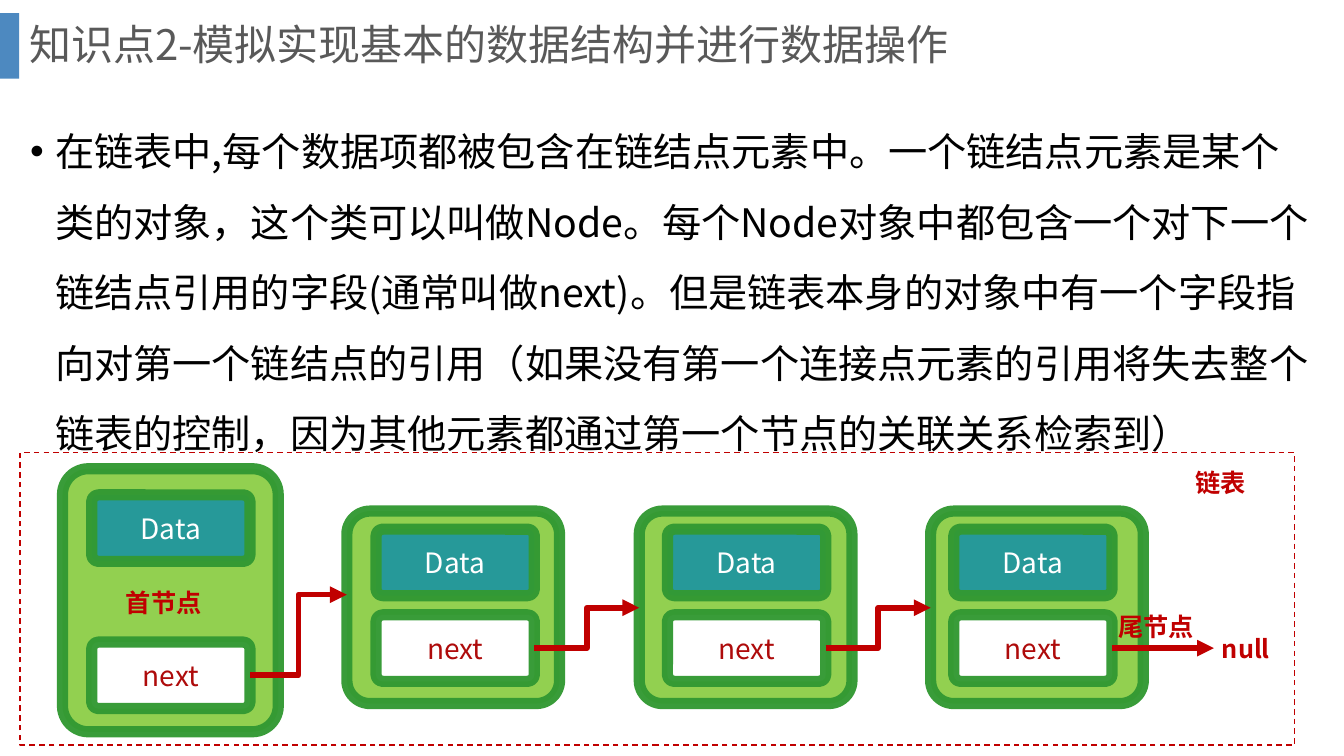
from pptx import Presentation
from pptx import util as u
from pptx.dml.color import RGBColor
from pptx.enum import dml, shapes, text
from pptx.oxml.ns import qn
from lxml import etree

FONT = "Noto Sans CJK SC"
GREEN, LIME, TEAL = "339933", "92D050", "269999"
RED, DARK_RED, WHITE = "C00000", "AE0B0B", "FFFFFF"
TITLE = "知识点2-模拟实现基本的数据结构并进行数据操作"
BODY = (
    "在链表中,每个数据项都被包含在链结点元素中。"
    "一个链结点元素是某个类的对象，这个类可以叫做Node。"
    "每个Node对象中都包含一个对下一个链结点引用的字段(通常叫做next)。"
    "但是链表本身的对象中有一个字段指向对第一个链结点的引用"
    "（如果没有第一个连接点元素的引用将失去整个链表的控制，"
    "因为其他元素都通过第一个节点的关联关系检索到）"
)


def rgb(color):
    return RGBColor.from_string(color)


def child(parent, tag, **attrs):
    return etree.SubElement(parent, qn(tag), **attrs)


def set_alpha(fill, percent):
    color = fill._xPr.find(qn("a:solidFill"))[0]
    child(color, "a:alpha", val=str(percent * 1000))


class SlideBuilder:
    def __init__(self, s, font):
        self.s = s
        self.font = font

    def put_text(self, sp, content, size, color, bold=False):
        sp.text_frame.text = content
        p = sp.text_frame.paragraphs[0]
        for r in p.runs:
            r.font.size = u.Pt(size)
            r.font.name = self.font
            r.font.bold = bold
            r.font.color.rgb = rgb(color)
            child(r.font._element, "a:ea", typeface=self.font)
        return p

    def text_box(self, box, content, size, color, bold=False, anchor=text.MSO_ANCHOR.TOP):
        sp = self.s.shapes.add_textbox(*map(u.Inches, box))
        sp.text_frame.word_wrap = True
        sp.text_frame.vertical_anchor = anchor
        return self.put_text(sp, content, size, color, bold)

    def label(self, left, top, content):
        self.text_box((left, top, 1.08, 0.4), content, 18, RED, True)

    def bullet_text(self, box, content, size, color):
        p = self.text_box(box, content, size, color)
        p.line_spacing = 1.5
        p.space_before = u.Pt(10)
        pPr = p._p.get_or_add_pPr()
        pPr.set("marL", str(u.Inches(0.25)))
        pPr.set("indent", str(u.Inches(-0.25)))
        child(pPr, "a:buFont", typeface="Arial")
        child(pPr, "a:buChar", char="•")

    def shape(self, kind, box, fill=None, line=None, width=1):
        sp = self.s.shapes.add_shape(kind, *map(u.Inches, box))
        sp.shadow.inherit = False
        if fill:
            sp.fill.solid()
            sp.fill.fore_color.rgb = rgb(fill)
        else:
            sp.fill.background()
        if line:
            sp.line.color.rgb = rgb(line)
            sp.line.width = u.Pt(width)
        else:
            sp.line.fill.background()
        return sp

    def rounded(self, box, fill, radius):
        sp = self.shape(shapes.MSO_SHAPE.ROUNDED_RECTANGLE, box, fill, GREEN, 8)
        sp.adjustments[0] = radius
        set_alpha(sp.line.fill, 96)
        return sp

    def field(self, left, top, content, fill, color):
        sp = self.rounded((left, top, 1.57, 0.66), fill, 0.1)
        sp.text_frame.vertical_anchor = text.MSO_ANCHOR.MIDDLE
        p = self.put_text(sp, content, 20, color)
        p.alignment = text.PP_ALIGN.CENTER

    def node(self, box, field_left, data_top, next_top):
        self.rounded(box, LIME, 0.12)
        self.field(field_left, data_top, "Data", TEAL, WHITE)
        self.field(field_left, next_top, "next", WHITE, DARK_RED)

    def arrow(self, kind, start, end):
        c = self.s.shapes.add_connector(kind, *map(u.Inches, start + end))
        c.line.color.rgb = rgb(RED)
        c.line.width = u.Pt(4)
        child(c.line._ln, "a:tailEnd", type="triangle")
        child(c._element.spPr, "a:effectLst")


def main():
    prs = Presentation()
    prs.slide_width = u.Inches(13.33)
    prs.slide_height = u.Inches(7.5)
    b = SlideBuilder(prs.slides.add_slide(prs.slide_layouts[6]), FONT)
    rect = shapes.MSO_SHAPE.RECTANGLE
    elbow = shapes.MSO_CONNECTOR.ELBOW

    accent = b.shape(rect, (0, 0.13, 0.19, 0.65), "2E75B6")
    set_alpha(accent.fill, 85)
    title = b.text_box((0.19, 0, 12.66, 0.93), TITLE, 30, "595959",
                       anchor=text.MSO_ANCHOR.MIDDLE)
    title.line_spacing = 0.9
    b.bullet_text((0.2, 0.98, 12.9, 5.96), BODY, 28, "000000")

    frame = b.shape(rect, (0.2, 4.49, 12.64, 2.9), line=RED)
    frame.line.dash_style = dml.MSO_LINE.DASH

    b.node((0.62, 4.65, 2.14, 2.61), 0.91, 4.91, 6.37)
    for left, field_left in ((3.44, 3.73), (6.34, 6.62), (9.23, 9.46)):
        b.node((left, 5.07, 2.11, 1.91), field_left, 5.25, 6.1)

    b.arrow(elbow, (2.48, 6.7), (3.44, 5.9))
    for start, end in ((5.3, 6.34), (8.19, 9.23)):
        b.arrow(elbow, (start, 6.43), (end, 6.03))
    b.arrow(shapes.MSO_CONNECTOR.STRAIGHT, (11.03, 6.43), (12.04, 6.43))

    b.label(1.15, 5.78, "首节点")
    b.label(12.02, 6.23, "null")
    b.label(10.99, 6.02, "尾节点")
    b.label(11.76, 4.59, "链表")
    prs.save("out.pptx")


if __name__ == "__main__":
    main()
